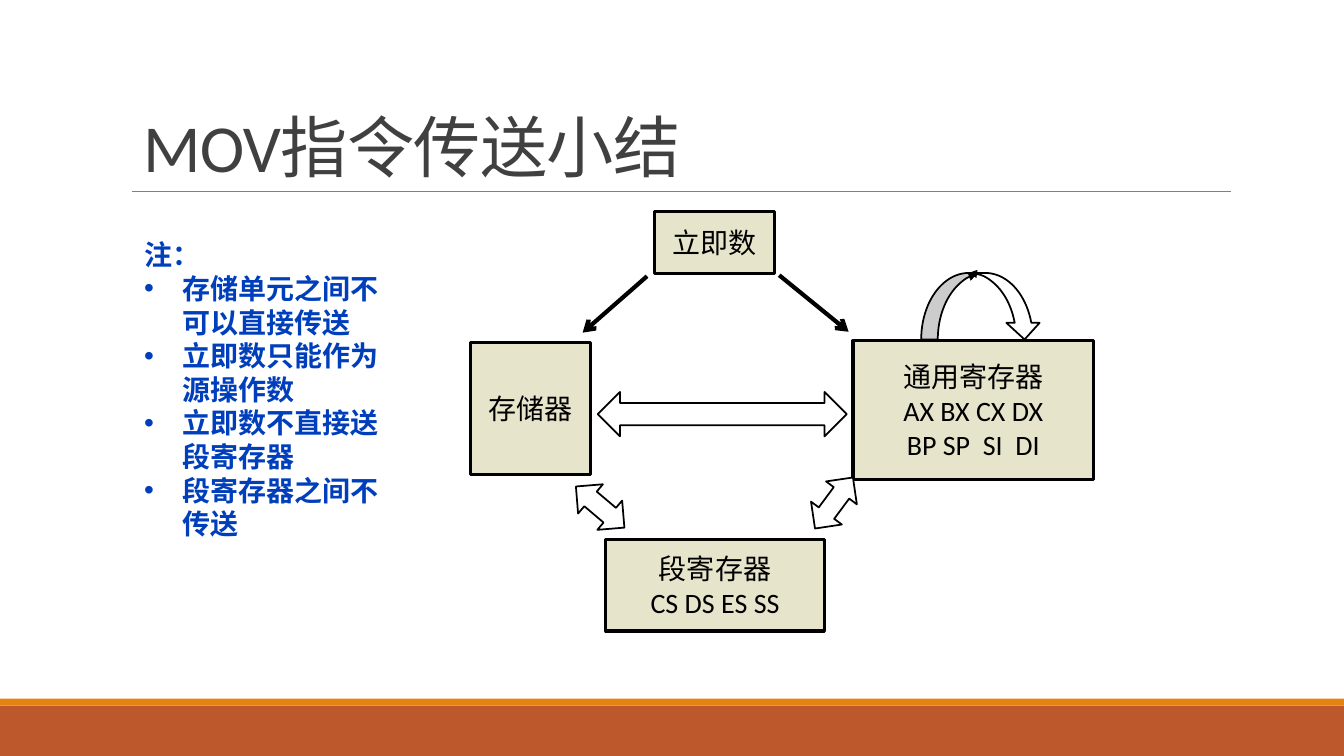
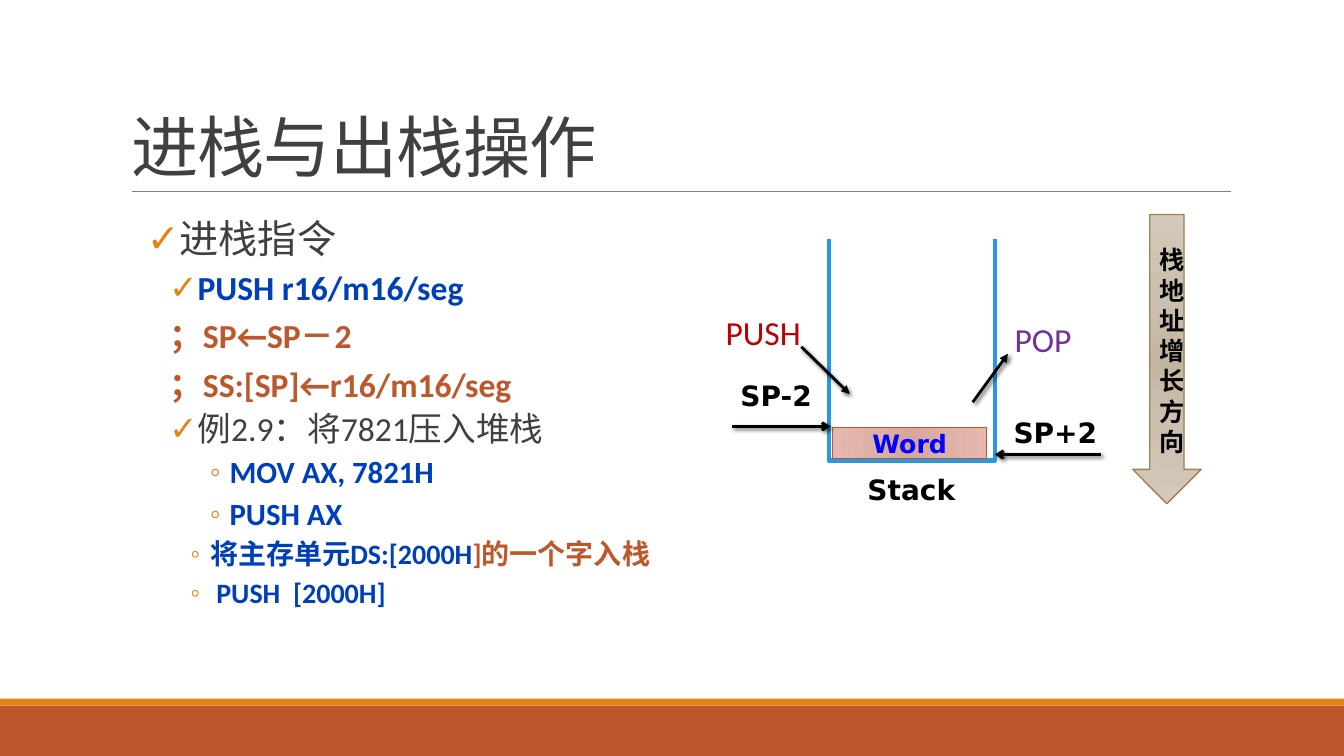
from lxml import etree
from pptx import Presentation
from pptx import oxml
from pptx import util as u
from pptx.dml.color import RGBColor
from pptx.enum import shapes, text
from pptx.oxml.ns import nsdecls, qn

rgb = RGBColor.from_string
Pt = u.Pt
Preset = shapes.MSO_SHAPE
CENTER = text.PP_ALIGN.CENTER
MIDDLE = text.MSO_ANCHOR.MIDDLE
BLACK, WHITE, GREY = "000000", "FFFFFF", "404040"
BLUE, RUST, ORANGE, SAND = "003FBC", "BD582C", "E48312", "E7E4CC"


def write(para, words, look, bullet=None, **layout):
    """Add a run; bullet is (character, colour, margin, indent)."""
    if bullet:
        mark, color, margin, indent = bullet
        props = para._p.get_or_add_pPr()
        props.set("marL", str(Pt(margin)))
        props.set("indent", str(Pt(indent)))
        if mark:
            tint = etree.SubElement(props, qn("a:buClr"))
            etree.SubElement(tint, qn("a:srgbClr"), val=color)
            etree.SubElement(props, qn("a:buChar"), char=mark)
        else:
            etree.SubElement(props, qn("a:buNone"))
    for name, value in layout.items():
        setattr(para, name, value)
    span = para.add_run()
    span.text = words
    for name, value in look.items():
        if name == "color":
            span.font.color.rgb = rgb(value)
        else:
            setattr(span.font, name, value)
    return span


def link(page, ends, color, weight, head=None, shadow=False):
    """Draw a straight line, with an arrowhead or a soft shadow if asked."""
    line = page.shapes.add_connector(
        shapes.MSO_CONNECTOR.STRAIGHT, *[Pt(value) for value in ends])
    line.line.color.rgb = rgb(color)
    line.line.width = Pt(weight)
    if head:
        etree.SubElement(line.line._get_or_add_ln(), qn("a:tailEnd"), type=head)
    effects = etree.SubElement(line._element.spPr, qn("a:effectLst"))
    if shadow:
        cast = etree.SubElement(effects, qn("a:outerShdw"), blurRad=str(Pt(3)),
                                dist=str(Pt(2)), dir="2700000")
        tint = etree.SubElement(cast, qn("a:srgbClr"), val=BLACK)
        etree.SubElement(tint, qn("a:alpha"), val="60000")
    return line


deck = Presentation()
deck.slide_width, deck.slide_height = Pt(960), Pt(540)
layout = deck.slide_layouts[1]
moves, stack = [deck.slides.add_slide(layout) for _ in range(2)]

# Shared bands and title rule, moved to the layout
decor = [link(moves, (94.3, 136.8, 879, 136.8), "808080", 0.5)]
for top, height, color in [(504, 36, RUST), (499, 5, ORANGE)]:
    band = moves.shapes.add_shape(Preset.RECTANGLE, 0, Pt(top), Pt(960), Pt(height))
    band.shadow.inherit = False
    band.fill.solid()
    band.fill.fore_color.rgb = rgb(color)
    band.line.fill.background()
    decor.append(band)
for item in decor:
    layout.shapes.element.append(item.element)

# Titles and body placeholders
title_look = {"name": "Calibri", "size": Pt(48), "color": GREY}
for page, words, title_left, body_at, side in [
        (moves, "MOV指令传送小结", 95, (95.8, 166.3, 183, 250), 7.2),
        (stack, "进栈与出栈操作", 86.4, (105, 153.4, 395.3, 316.8), 0)]:
    title, body = page.shapes.title, page.placeholders[1]
    for box, place in [(title, (title_left, 22.3, 792, 114.5)), (body, body_at)]:
        box.left, box.top, box.width, box.height = [Pt(value) for value in place]
        box.text_frame.auto_size = text.MSO_AUTO_SIZE.NONE
        box.text_frame.word_wrap = True
    title.text_frame.vertical_anchor = text.MSO_ANCHOR.BOTTOM
    span = write(title.text_frame.paragraphs[0], words, title_look,
                 alignment=text.PP_ALIGN.LEFT, line_spacing=0.85)
    span._r.get_or_add_rPr().set("spc", "-50")
    frame = body.text_frame
    frame.vertical_anchor = text.MSO_ANCHOR.TOP
    frame.margin_left = frame.margin_right = Pt(side)

# Slide 1: notes
note_look = {"name": "Calibri", "size": Pt(20), "bold": True, "color": BLUE}
frame = moves.placeholders[1].text_frame
for index, words in enumerate(["注：", "存储单元之间不可以直接传送", "立即数只能作为源操作数",
                               "立即数不直接送段寄存器", "段寄存器之间不传送"]):
    para = frame.add_paragraph() if index else frame.paragraphs[0]
    bullet = ("•", BLUE, 27, -27) if index else ("", BLUE, 0, 0)
    write(para, words, note_look, bullet, line_spacing=1.0, space_before=Pt(0))

# Slide 1: storage boxes and block arrows
box_look = {"name": "Calibri", "size": Pt(20), "color": BLACK}
BOX, TWO_WAY = Preset.RECTANGLE, Preset.LEFT_RIGHT_ARROW
for preset, place, turn, lines in [
        (BOX, (467.3, 151.4, 85.7, 44), 0, ["立即数"]),
        (BOX, (336.2, 244.4, 85.7, 94.3), 0, ["存储器"]),
        (BOX, (609.3, 243.4, 172, 99.4), 0, ["通用寄存器", "AX BX CX DX", "BP SP  SI  DI"]),
        (BOX, (432.7, 385.2, 156.2, 65.5), 0, ["段寄存器", "CS DS ES SS"]),
        (TWO_WAY, (427, 280, 177.8, 31.7), 0, []),
        (TWO_WAY, (406, 348.5, 45.4, 27.4), 40.3, []),
        (TWO_WAY, (573, 345.6, 45.4, 27.4), 126.6, []),
        (Preset.CURVED_DOWN_ARROW, (658, 195, 85.7, 47.5), 0, [])]:
    box = moves.shapes.add_shape(preset, *[Pt(value) for value in place])
    box.rotation = turn
    box.shadow.inherit = False
    box.fill.solid()
    box.fill.fore_color.rgb = rgb(SAND if preset == BOX else WHITE)
    box.line.color.rgb = rgb(BLACK)
    box.line.width = Pt(2.25 if preset == BOX else 1.25)
    if preset == Preset.CURVED_DOWN_ARROW:
        for end in ("a:headEnd", "a:tailEnd"):
            etree.SubElement(box.line._get_or_add_ln(), qn(end), type="triangle")
    for index, words in enumerate(lines):
        frame = box.text_frame
        para = frame.add_paragraph() if index else frame.paragraphs[0]
        write(para, words, box_look, alignment=CENTER)

for ends in [(462.2, 197.3, 416.2, 237.6), (556.6, 196.6, 606.2, 237)]:
    link(moves, ends, BLACK, 3, "arrow")

# Slide 2: instruction list
check, ring = ("✓", ORANGE, 30, -14), "◦"
frame = stack.placeholders[1].text_frame
for index, (level, bullet, size, bold, before, after, runs) in enumerate([
        (0, ("✓", ORANGE, 7, -7), 28, False, 0, 2, [("进栈指令", GREY)]),
        (1, check, 24, True, 4.6, 4, [("PUSH r16/m16/seg", BLUE)]),
        (1, ("", RUST, 16, 0), 24, True, 4.6, 4, [("；SP←SP－2", RUST)]),
        (1, ("", RUST, 16, 0), 24, True, 4.6, 4, [("；SS:[SP]←r16/m16/seg", RUST)]),
        (1, check, 24, False, 2, 4, [("例2.9：将7821压入堆栈", GREY)]),
        (3, (ring, ORANGE, 59, -14), 22, True, 2, 4, [("MOV AX, 7821H", BLUE)]),
        (3, (ring, ORANGE, 59, -14), 22, True, 2, 4, [("PUSH AX", BLUE)]),
        (2, (ring, ORANGE, 45, -14), 20, True, 2, 4,
         [("将主存单元DS:[2000H", BLUE), ("]的一个字入栈", RUST)]),
        (2, (ring, ORANGE, 45, -14), 20, True, 2, 4, [(" PUSH  [2000H]", BLUE)])]):
    para = frame.add_paragraph() if index else frame.paragraphs[0]
    for number, (words, color) in enumerate(runs):
        look = {"name": "Calibri", "size": Pt(size), "bold": bold, "color": color}
        write(para, words, look, None if number else bullet, level=level,
              line_spacing=0.9, space_before=Pt(before), space_after=Pt(after))

# Slide 2: open stack outline
outline = stack.shapes.build_freeform(Pt(592), Pt(170.6))
outline.add_line_segments(
    [(Pt(592), Pt(329)), (Pt(710.6), Pt(329)), (Pt(710.6), Pt(170.6))], close=False)
well = outline.convert_to_shape()
well.shadow.inherit = False
well.fill.background()
well.line.color.rgb = rgb("2998E3")
well.line.width = Pt(3)

# Slide 2: stack word and growth arrow, with radial gradients
for preset, place, tints, edge, words, font, color, wrap in [
        (BOX, (594.7, 305.3, 110.2, 22.3), ("D7A197", "DEB1A8", "E6B7AE"),
         RUST, "Word", "DejaVu Sans", "0000FF", False),
        (Preset.DOWN_ARROW, (809, 153.2, 49, 206.6), ("C2B5A2", "CCC1B1", "D4C8B8"),
         "9B8357", "栈地址增长方向", "Calibri", BLACK, True)]:
    box = stack.shapes.add_shape(preset, *[Pt(value) for value in place])
    box.shadow.inherit = False
    stops = "".join(f'<a:gs pos="{stop}"><a:srgbClr val="{tint}"/></a:gs>'
                    for stop, tint in zip((0, 45000, 100000), tints))
    box._element.spPr.insert(2, oxml.parse_xml(
        f'<a:gradFill {nsdecls("a")}><a:gsLst>{stops}</a:gsLst><a:path path="circle">'
        '<a:fillToRect l="100000" t="100000" r="100000" b="100000"/></a:path></a:gradFill>'))
    box.line.color.rgb = rgb(edge)
    box.line.width = Pt(1)
    box.text_frame.word_wrap = wrap
    look = {"name": font, "size": Pt(18), "bold": True, "color": color}
    write(box.text_frame.paragraphs[0], words, look, alignment=CENTER)

# Slide 2: pointer labels, without side margins so each stays on one line
pointer_look = {"name": "DejaVu Sans", "size": Pt(20), "bold": True, "color": BLACK}
for words, center, top in [("Stack", 651, 337.7), ("SP-2", 554.4, 270.7),
                           ("SP+2", 753.9, 297.4)]:
    label = stack.shapes.add_textbox(Pt(center - 44), Pt(top), Pt(88), Pt(28))
    frame = label.text_frame
    frame.margin_left = frame.margin_right = 0
    frame.word_wrap = False
    frame.vertical_anchor = MIDDLE
    write(frame.paragraphs[0], words, pointer_look, alignment=CENTER, line_spacing=0.8)

# Slide 2: operation labels
for words, left, top, color in [("PUSH", 511.2, 219.6, "C00000"),
                                ("POP", 717.6, 224.6, "7030A0")]:
    frame = stack.shapes.add_textbox(Pt(left), Pt(top), Pt(85), Pt(36)).text_frame
    frame.word_wrap = True
    look = {"name": "Calibri", "size": Pt(24), "color": color}
    write(frame.paragraphs[0], words, look)

# Slide 2: arrows
for ends, head in [((522.7, 304.6, 593.3, 304.6), "arrow"),
                   ((786.2, 324.7, 710.6, 324.7), "arrow"),
                   ((572.4, 247.7, 607, 281.5), "triangle"),
                   ((694.8, 287.3, 720, 252.7), "triangle")]:
    link(stack, ends, BLACK, 2, head, shadow=True)

deck.save("out.pptx")
